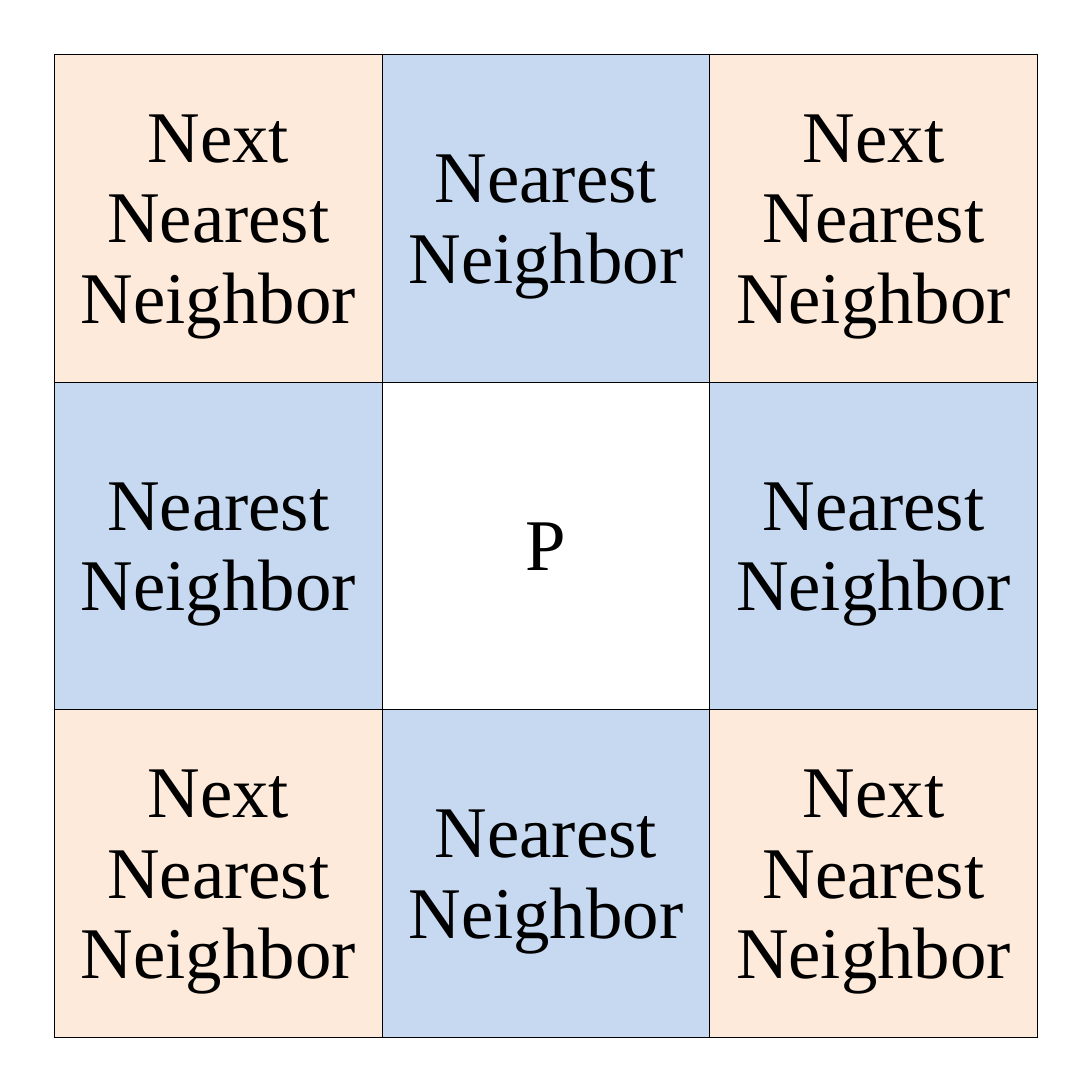
from lxml.etree import SubElement
from pptx import Presentation
from pptx.dml.color import RGBColor
from pptx.enum.text import MSO_ANCHOR, PP_ALIGN
from pptx.oxml.ns import qn
from pptx.util import Pt

SIZE = 3
CELL = 216
MARGIN = 36
# Text and fill by the number of steps from the centre cell
KINDS = [
    ("P", "FFFFFF"),
    ("Nearest Neighbor", "C6D9F1"),
    ("Next Nearest Neighbor", "FDEADA"),
]


def write_cell(cell, text, fill, font="Times New Roman", size=48, color="000000"):
    cell.vertical_anchor = MSO_ANCHOR.MIDDLE
    cell.fill.solid()
    cell.fill.fore_color.rgb = RGBColor.from_string(fill)
    p = cell.text_frame.paragraphs[0]
    p.alignment = PP_ALIGN.CENTER
    r = p.add_run()
    r.text = text
    r.font.name = font
    r.font.size = Pt(size)
    r.font.color.rgb = RGBColor.from_string(color)


def add_borders(cell, color="000000", width=1):
    """Line all four sides; call before filling, as the schema puts lines first."""
    tcPr = cell._tc.get_or_add_tcPr()
    for side in ("a:lnL", "a:lnR", "a:lnT", "a:lnB"):
        ln = SubElement(tcPr, qn(side), w=str(Pt(width)))
        SubElement(SubElement(ln, qn("a:solidFill")), qn("a:srgbClr"), val=color)


prs = Presentation()
prs.slide_width = prs.slide_height = Pt(SIZE * CELL + 2 * MARGIN)
s = prs.slides.add_slide(prs.slide_layouts[6])

side = Pt(SIZE * CELL)
table = s.shapes.add_table(SIZE, SIZE, Pt(MARGIN), Pt(MARGIN), side, side).table
table.first_row = False
table.horz_banding = False

for row in range(SIZE):
    for col in range(SIZE):
        steps = abs(row - 1) + abs(col - 1)
        text, fill = KINDS[steps]
        cell = table.cell(row, col)
        add_borders(cell)
        write_cell(cell, text, fill)

prs.save("out.pptx")
